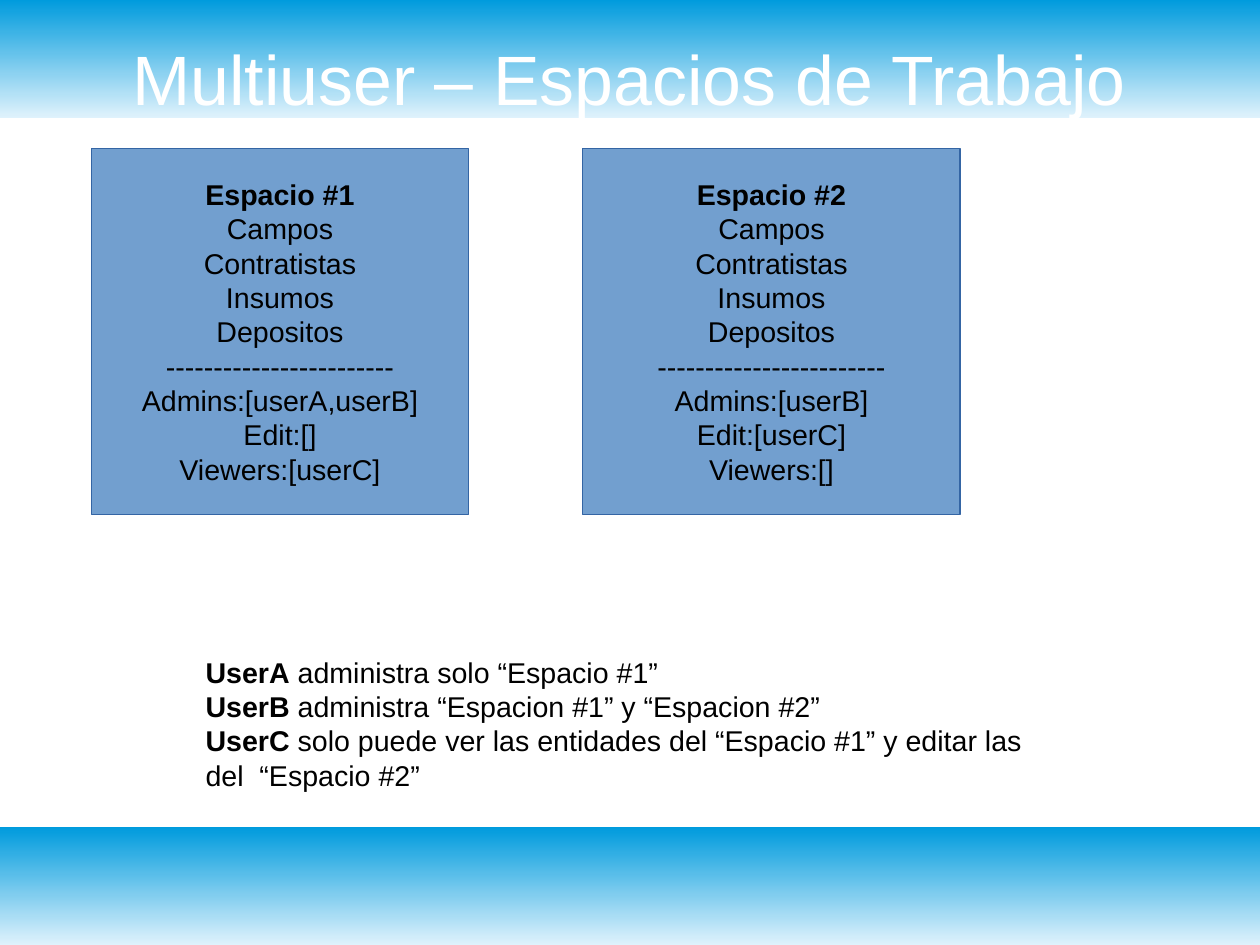
from dataclasses import dataclass

from pptx import Presentation
from pptx.dml.color import RGBColor
from pptx.enum.shapes import MSO_SHAPE
from pptx.enum.text import MSO_ANCHOR, MSO_AUTO_SIZE, PP_ALIGN
from pptx.util import Inches, Pt


@dataclass(frozen=True)
class Theme:
    """Colours, font and type sizes of the slide."""
    band_light: RGBColor = RGBColor(0xDF, 0xF2, 0xFC)
    band_dark: RGBColor = RGBColor(0x00, 0x9B, 0xDD)
    card: RGBColor = RGBColor(0x72, 0x9F, 0xCF)
    card_line: RGBColor = RGBColor(0x34, 0x65, 0xA4)
    title: RGBColor = RGBColor(0xFF, 0xFF, 0xFF)
    text: RGBColor = RGBColor(0x00, 0x00, 0x00)
    font: str = "Arial"
    title_size: Pt = Pt(44)
    text_size: Pt = Pt(18)


THEME = Theme()
CM_PER_INCH = 2.54
WIDTH, HEIGHT = 28 / CM_PER_INCH, 21 / CM_PER_INCH
BAND_HEIGHT = 1.03
CARD_LEFT, CARD_TOP, CARD_WIDTH, CARD_HEIGHT, CARD_GAP = 0.8, 1.3, 3.3, 3.2, 1

ENTITIES = ["Campos", "Contratistas", "Insumos", "Depositos"]
SPACES = [
    ("Espacio #1", ["Admins:[userA,userB]", "Edit:[]", "Viewers:[userC]"]),
    ("Espacio #2", ["Admins:[userB]", "Edit:[userC]", "Viewers:[]"]),
]
USERS = [
    ("UserA", " administra solo “Espacio #1”"),
    ("UserB", " administra “Espacion #1” y “Espacion #2”"),
    ("UserC", " solo puede ver las entidades del “Espacio #1” y editar las del  “Espacio #2”"),
]


def style(p, size, color, align, bold=None):
    """Set the font and alignment of a paragraph."""
    p.alignment = align
    p.font.name = THEME.font
    p.font.size = size
    p.font.color.rgb = color
    p.font.bold = bold


def next_paragraph(tf, index):
    """Return the first paragraph of a frame, or a new one."""
    return tf.add_paragraph() if index else tf.paragraphs[0]


def add_rect(s, x, y, w, h):
    """Add a rectangle without shadow."""
    sp = s.shapes.add_shape(MSO_SHAPE.RECTANGLE, Inches(x), Inches(y), Inches(w), Inches(h))
    sp.shadow.inherit = False
    return sp


def add_band(s, x, y, w, h):
    """Add a band that fades from dark at the top to light."""
    sp = add_rect(s, x, y, w, h)
    sp.line.fill.background()
    sp.fill.gradient()
    sp.fill.gradient_angle = 90
    for stop, color in zip(sp.fill.gradient_stops, (THEME.band_light, THEME.band_dark)):
        stop.color.rgb = color


def add_title(s, text, x, y, w, h):
    """Place the title in front of the bands."""
    sp = s.shapes.title
    s.shapes.element.append(sp.element)
    sp.left, sp.top, sp.width, sp.height = Inches(x), Inches(y), Inches(w), Inches(h)
    tf = sp.text_frame
    tf.margin_left = tf.margin_right = tf.margin_top = tf.margin_bottom = 0
    tf.vertical_anchor = MSO_ANCHOR.MIDDLE
    tf.auto_size = MSO_AUTO_SIZE.NONE
    tf.text = text
    style(tf.paragraphs[0], THEME.title_size, THEME.title, PP_ALIGN.CENTER)


def add_space(s, name, roles, x, y, w, h):
    """Add the card of a workspace with its entities and roles."""
    sp = add_rect(s, x, y, w, h)
    sp.fill.solid()
    sp.fill.fore_color.rgb = THEME.card
    sp.line.color.rgb = THEME.card_line
    sp.line.width = Pt(0)
    tf = sp.text_frame
    tf.word_wrap = False
    tf.vertical_anchor = MSO_ANCHOR.MIDDLE
    for i, line in enumerate([name, *ENTITIES, "-" * 24, *roles]):
        p = next_paragraph(tf, i)
        p.text = line
        style(p, THEME.text_size, THEME.text, PP_ALIGN.CENTER, bold=i == 0)


def add_users(s, x, y, w, h):
    """Add the list of what each user can do."""
    tf = s.shapes.add_textbox(Inches(x), Inches(y), Inches(w), Inches(h)).text_frame
    tf.word_wrap = True
    for i, (user, rights) in enumerate(USERS):
        p = next_paragraph(tf, i)
        style(p, THEME.text_size, THEME.text, PP_ALIGN.LEFT)
        r = p.add_run()
        r.text = user
        r.font.bold = True
        p.add_run().text = rights


def main():
    """Build and save the slide."""
    prs = Presentation()
    prs.slide_width, prs.slide_height = Inches(WIDTH), Inches(HEIGHT)
    s = prs.slides.add_slide(prs.slide_layouts[5])
    for y in (0, HEIGHT - BAND_HEIGHT):
        add_band(s, 0, y, WIDTH, BAND_HEIGHT)
    add_title(s, "Multiuser – Espacios de Trabajo", 0.55, 0.33, 9.92, 0.7)
    for i, (name, roles) in enumerate(SPACES):
        x = CARD_LEFT + i * (CARD_WIDTH + CARD_GAP)
        add_space(s, name, roles, x, CARD_TOP, CARD_WIDTH, CARD_HEIGHT)
    add_users(s, 1.7, 5.68, 7.6, 1.22)
    prs.save("out.pptx")


if __name__ == "__main__":
    main()
